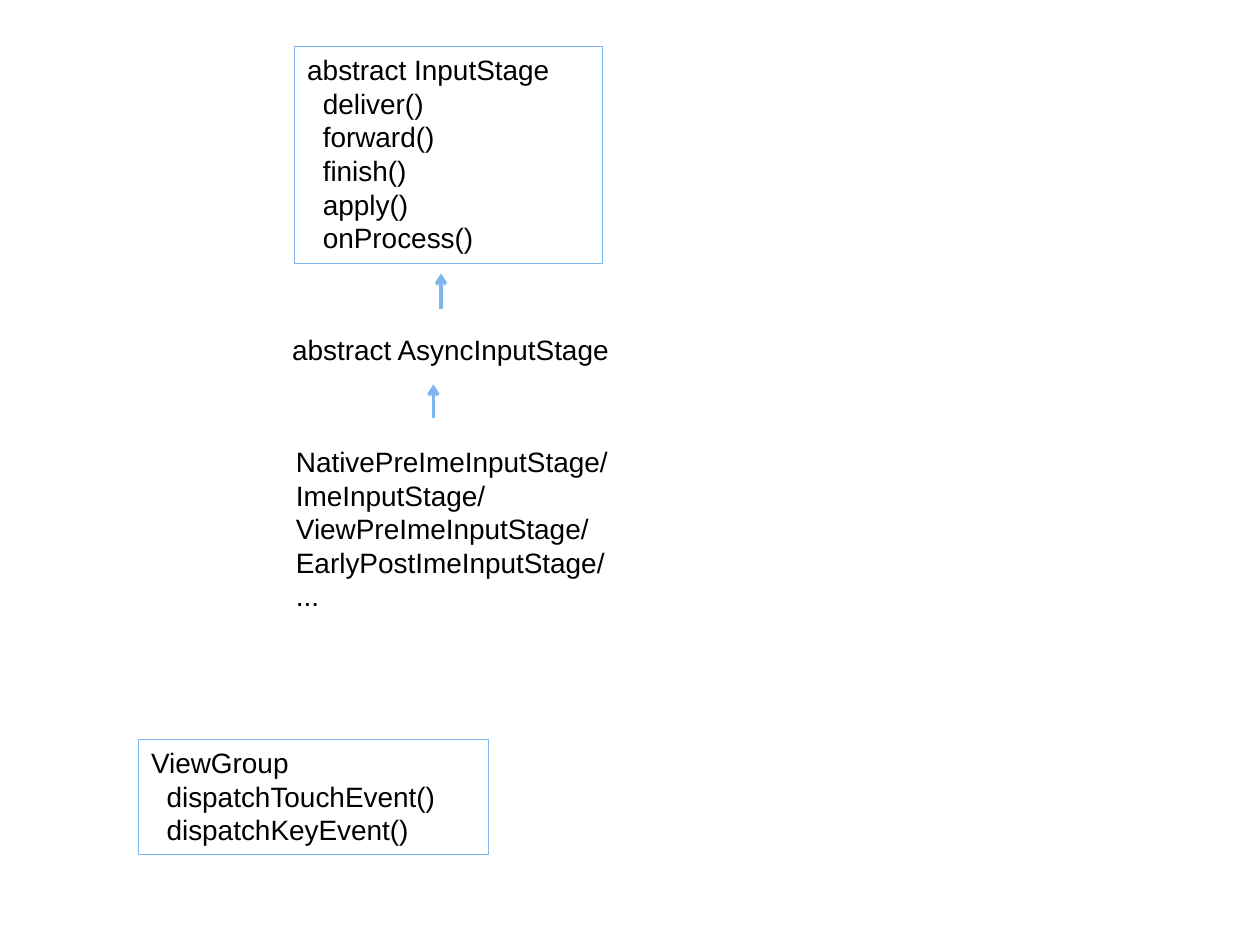
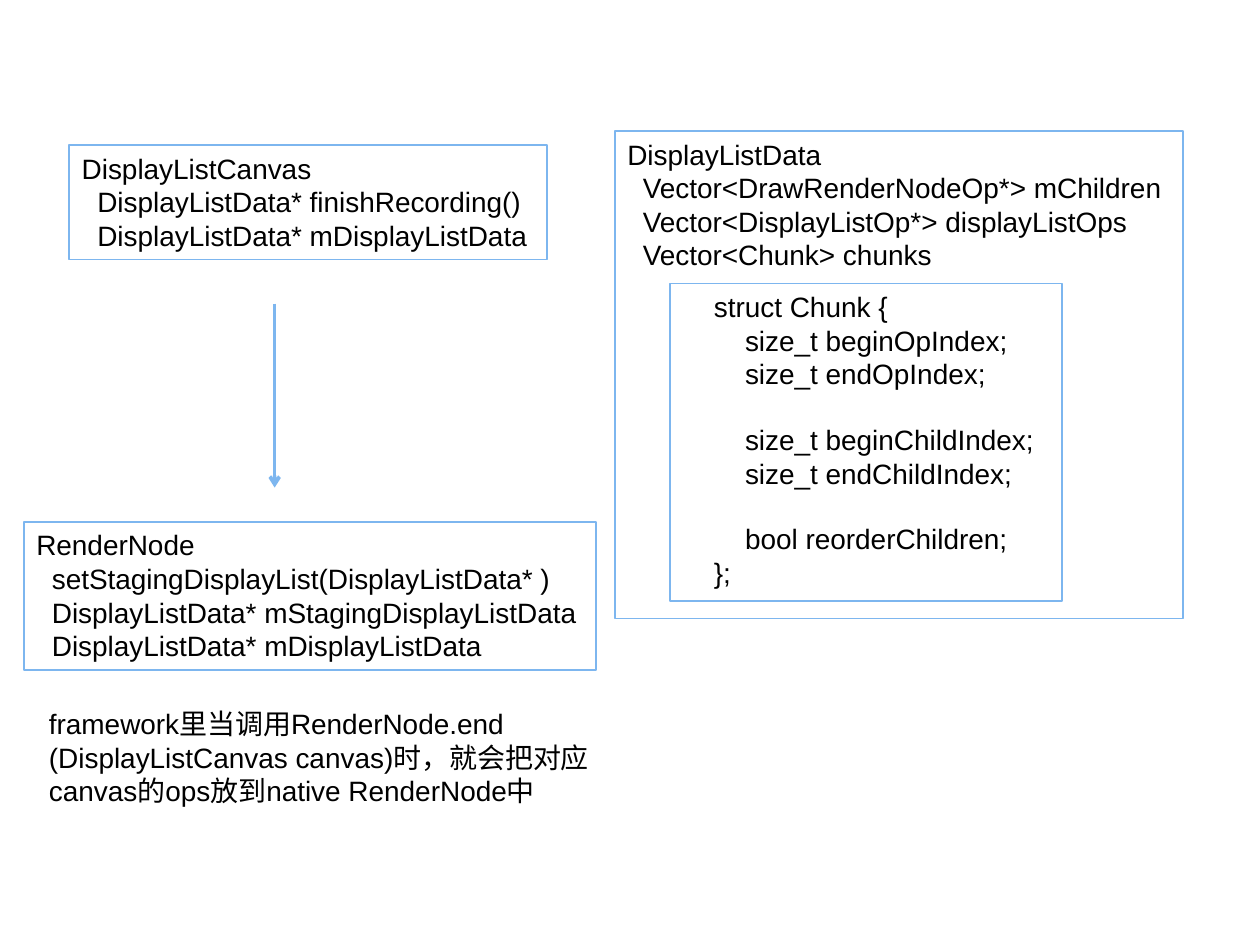
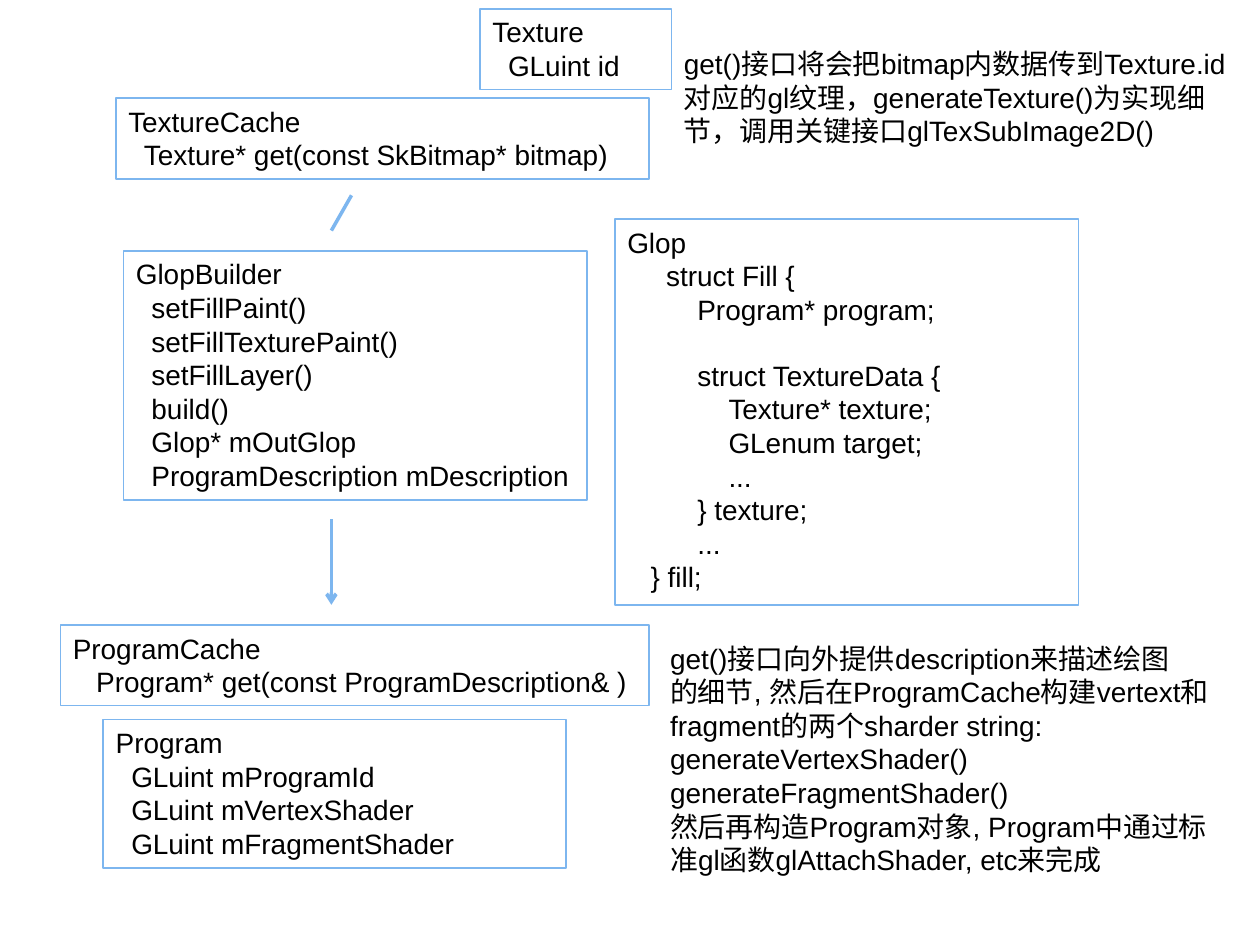
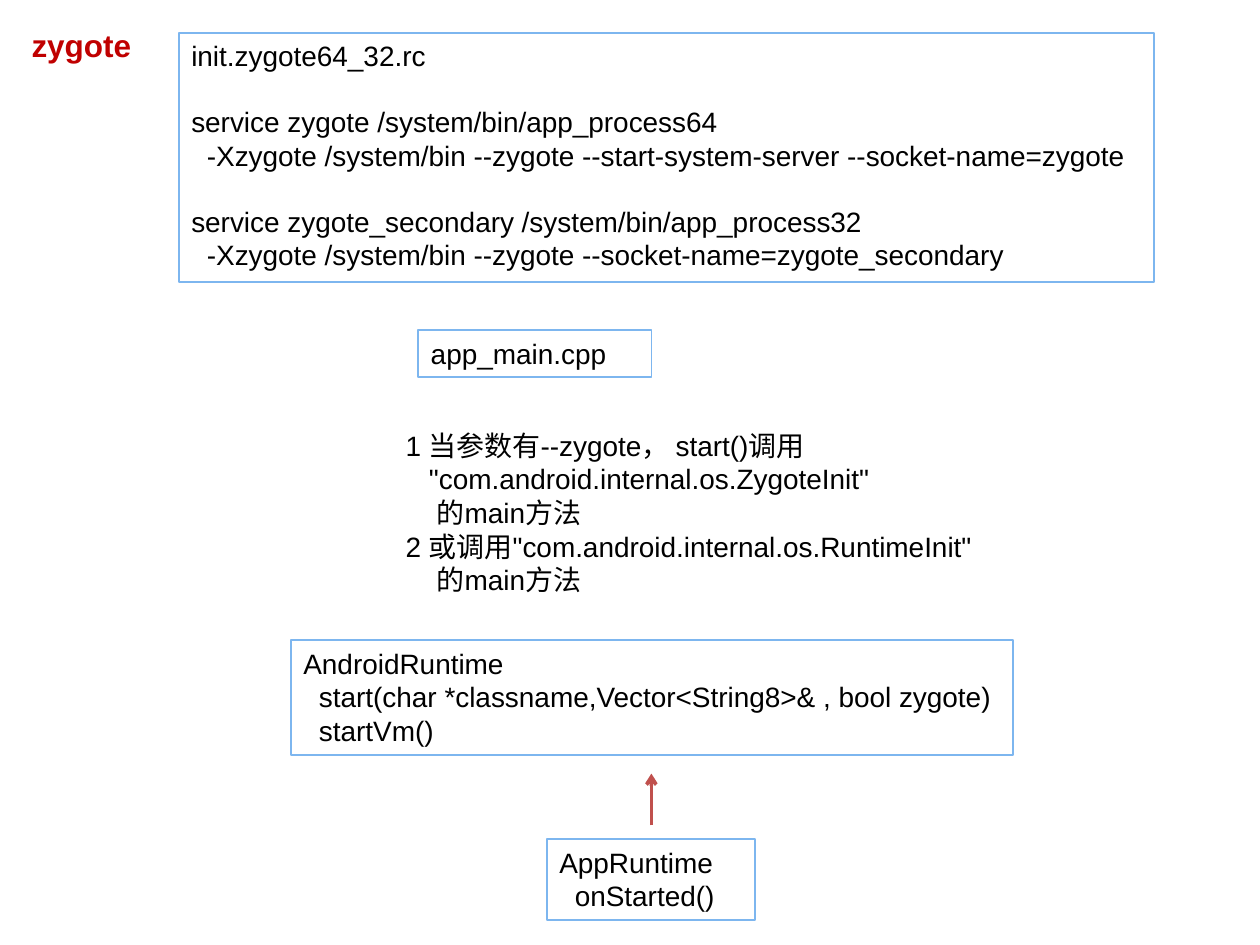
from lxml import etree
from pptx import Presentation
from pptx.dml.color import RGBColor
from pptx.enum.shapes import MSO_CONNECTOR, MSO_SHAPE
from pptx.enum.text import MSO_ANCHOR, MSO_AUTO_SIZE, PP_ALIGN
from pptx.oxml.ns import qn
from pptx.util import Inches, Pt

RECTANGLE = MSO_SHAPE.RECTANGLE
STRAIGHT = MSO_CONNECTOR.STRAIGHT
TOP = MSO_ANCHOR.TOP
LEFT = PP_ALIGN.LEFT
NO_AUTOFIT = MSO_AUTO_SIZE.NONE

BLUE = RGBColor(0x7D, 0xB6, 0xEF)
RED = RGBColor(0xC0, 0x50, 0x4D)
TITLE_RED = RGBColor(0xC0, 0x00, 0x00)
BLACK = RGBColor(0x00, 0x00, 0x00)

FONT = "Arial"
BODY_SIZE = 16
TITLE_SIZE = 18
LINE_HEIGHT = 18.4
INDENT_STEP = Pt(4.45)
TITLE_ONLY, BLANK = 5, 6


def members(*names, indent=2):
    return [(indent, name) for name in names]


# Each line is plain text or (indent steps, text, empty lines above).
SLIDES = [
    {
        "border": 0.75,
        "boxes": [
            ((2.34, 0.37, 2.44, 1.72), ["abstract InputStage", *members(
                "deliver()", "forward()", "finish()", "apply()", "onProcess()")]),
            ((1.1, 5.87, 2.78, 0.91), ["ViewGroup", *members(
                "dispatchTouchEvent()", "dispatchKeyEvent()")]),
        ],
        "notes": [
            ((2.22, 2.59, 2.83, 0.37), ["abstract AsyncInputStage"]),
            ((2.25, 3.48, 2.78, 1.45), [
                "NativePreImeInputStage/", "ImeInputStage/",
                "ViewPreImeInputStage/", "EarlyPostImeInputStage/", "..."]),
        ],
        "arrows": [
            ((3.44, 3.32), (3.44, 3.05), BLUE),
            ((3.5, 2.45), (3.5, 2.17), BLUE),
        ],
    },
    {
        "boxes": [
            ((0.55, 1.15, 3.79, 0.91), ["DisplayListCanvas", *members(
                "DisplayListData* finishRecording()",
                "DisplayListData* mDisplayListData")]),
            ((4.88, 1.04, 4.51, 3.87), ["DisplayListData", *members(
                "Vector<DrawRenderNodeOp*> mChildren",
                "Vector<DisplayListOp*> displayListOps",
                "Vector<Chunk> chunks")]),
            ((5.32, 2.25, 3.11, 2.52), [
                (4, "struct Chunk {"),
                (8, "size_t beginOpIndex;"),
                (8, "size_t endOpIndex;"),
                (8, "size_t beginChildIndex;", 1),
                (8, "size_t endChildIndex;"),
                (8, "bool reorderChildren;", 1),
                (4, "};")]),
            ((0.19, 4.14, 4.54, 1.18), ["RenderNode", *members(
                "setStagingDisplayList(DisplayListData* )",
                "DisplayListData* mStagingDisplayListData",
                "DisplayListData* mDisplayListData")]),
        ],
        "notes": [
            ((0.29, 5.56, 4.51, 0.91), [
                "framework里当调用RenderNode.end",
                "(DisplayListCanvas canvas)时，就会把对应canvas的ops放到native RenderNode中"]),
        ],
        "arrows": [((2.18, 2.41), (2.18, 3.87), BLUE)],
    },
    {
        "boxes": [
            ((0.98, 1.99, 3.68, 1.98), ["GlopBuilder", *members(
                "setFillPaint()", "setFillTexturePaint()", "setFillLayer()",
                "build()", "Glop* mOutGlop", "ProgramDescription mDescription")]),
            ((4.88, 1.74, 3.68, 3.06), [
                "Glop",
                (5, "struct Fill {"),
                (9, "Program* program;"),
                (9, "struct TextureData {", 1),
                *members("Texture* texture;", "GLenum target;", "...", indent=13),
                (9, "} texture;"),
                (9, "..."),
                (3, "} fill;")]),
            ((0.48, 4.96, 4.67, 0.64), ["ProgramCache", *members(
                "Program* get(const ProgramDescription& )", indent=3)]),
            ((0.82, 5.71, 3.67, 1.18), ["Program", *members(
                "GLuint mProgramId", "GLuint mVertexShader",
                "GLuint mFragmentShader")]),
            ((0.92, 0.78, 4.23, 0.64), ["TextureCache", *members(
                "Texture* get(const SkBitmap* bitmap)")]),
            ((3.81, 0.07, 1.52, 0.64), ["Texture", *members("GLuint id")]),
        ],
        "notes": [
            ((5.22, 5.04, 4.57, 1.98), [
                "get()接口向外提供description来描述绘图",
                "的细节, 然后在ProgramCache构建vertext和",
                "fragment的两个sharder string:",
                "generateVertexShader()",
                "generateFragmentShader()",
                "然后再构造Program对象, Program中通过标",
                "准gl函数glAttachShader, etc来完成"]),
            ((5.33, 0.32, 4.54, 0.91), [
                "get()接口将会把bitmap内数据传到Texture.id对应的gl纹理，"
                "generateTexture()为实现细节，调用关键接口glTexSubImage2D()"]),
        ],
        "arrows": [((2.63, 4.12), (2.63, 4.8), BLUE)],
        "links": [((2.79, 1.55), (2.63, 1.83), BLUE)],
    },
    {
        "title": ((0.15, 0.16, 1.01, 0.4), "zygote"),
        "boxes": [
            ((1.42, 0.26, 7.74, 1.98), [
                "init.zygote64_32.rc",
                (0, "service zygote /system/bin/app_process64", 1),
                (2, "-Xzygote /system/bin --zygote --start-system-server --socket-name=zygote"),
                (0, "service zygote_secondary /system/bin/app_process32", 1),
                (2, "-Xzygote /system/bin --zygote --socket-name=zygote_secondary")]),
            ((3.32, 2.62, 1.85, 0.37), ["app_main.cpp"]),
            ((4.34, 6.66, 1.65, 0.64), ["AppRuntime", *members("onStarted()")]),
            ((2.31, 5.08, 5.73, 0.91), ["AndroidRuntime", *members(
                "start(char *classname,Vector<String8>& , bool zygote)",
                "startVm()")]),
        ],
        "notes": [
            ((3.12, 3.35, 4.92, 1.45), [
                "1 当参数有--zygote， start()调用",
                (3, '"com.android.internal.os.ZygoteInit"'),
                (4, "的main方法"),
                '2 或调用"com.android.internal.os.RuntimeInit"',
                (4, "的main方法")]),
        ],
        "arrows": [((5.17, 6.55), (5.17, 6.14), RED)],
    },
]


def inches(lengths):
    return [Inches(length) for length in lengths]


def write_lines(frame, lines, size=BODY_SIZE, color=BLACK, bold=False):
    frame.word_wrap = True
    frame.auto_size = NO_AUTOFIT
    frame.vertical_anchor = TOP
    for number, line in enumerate(lines):
        indent, text, *gap = (0, line) if isinstance(line, str) else line
        paragraph = frame.add_paragraph() if number else frame.paragraphs[0]
        paragraph.text = text
        paragraph.alignment = LEFT
        font = paragraph.font
        font.name, font.size, font.bold = FONT, Pt(size), bold
        font.color.rgb = color
        if indent:
            paragraph._p.get_or_add_pPr().set("marL", str(indent * INDENT_STEP))
        if gap:
            paragraph.space_before = Pt(gap[0] * LINE_HEIGHT)


def add_title(slide, place, text):
    title = slide.shapes.title
    title.left, title.top, title.width, title.height = inches(place)
    write_lines(title.text_frame, [text], TITLE_SIZE, TITLE_RED, True)


def add_box(slide, place, lines, border):
    box = slide.shapes.add_shape(RECTANGLE, *inches(place))
    box.shadow.inherit = False
    box.fill.background()
    box.line.color.rgb = BLUE
    box.line.width = Pt(border)
    write_lines(box.text_frame, lines)


def add_note(slide, place, lines):
    note = slide.shapes.add_textbox(*inches(place))
    write_lines(note.text_frame, lines)


def add_link(slide, start, end, color, arrow=False):
    link = slide.shapes.add_connector(STRAIGHT, *inches(start + end))
    link.line.color.rgb = color
    link.line.width = Pt(2)
    if arrow:
        etree.SubElement(link.line._get_or_add_ln(), qn("a:tailEnd"), type="arrow")
    etree.SubElement(link._element.spPr, qn("a:effectLst"))


def main():
    deck = Presentation()
    deck.slide_width, deck.slide_height = Inches(10), Inches(7.5)
    for content in SLIDES:
        layout = TITLE_ONLY if "title" in content else BLANK
        slide = deck.slides.add_slide(deck.slide_layouts[layout])
        if "title" in content:
            add_title(slide, *content["title"])
        for place, lines in content["boxes"]:
            add_box(slide, place, lines, content.get("border", 1))
        for place, lines in content["notes"]:
            add_note(slide, place, lines)
        for arrow in content["arrows"]:
            add_link(slide, *arrow, arrow=True)
        for link in content.get("links", []):
            add_link(slide, *link)
    deck.save("out.pptx")


if __name__ == "__main__":
    main()
